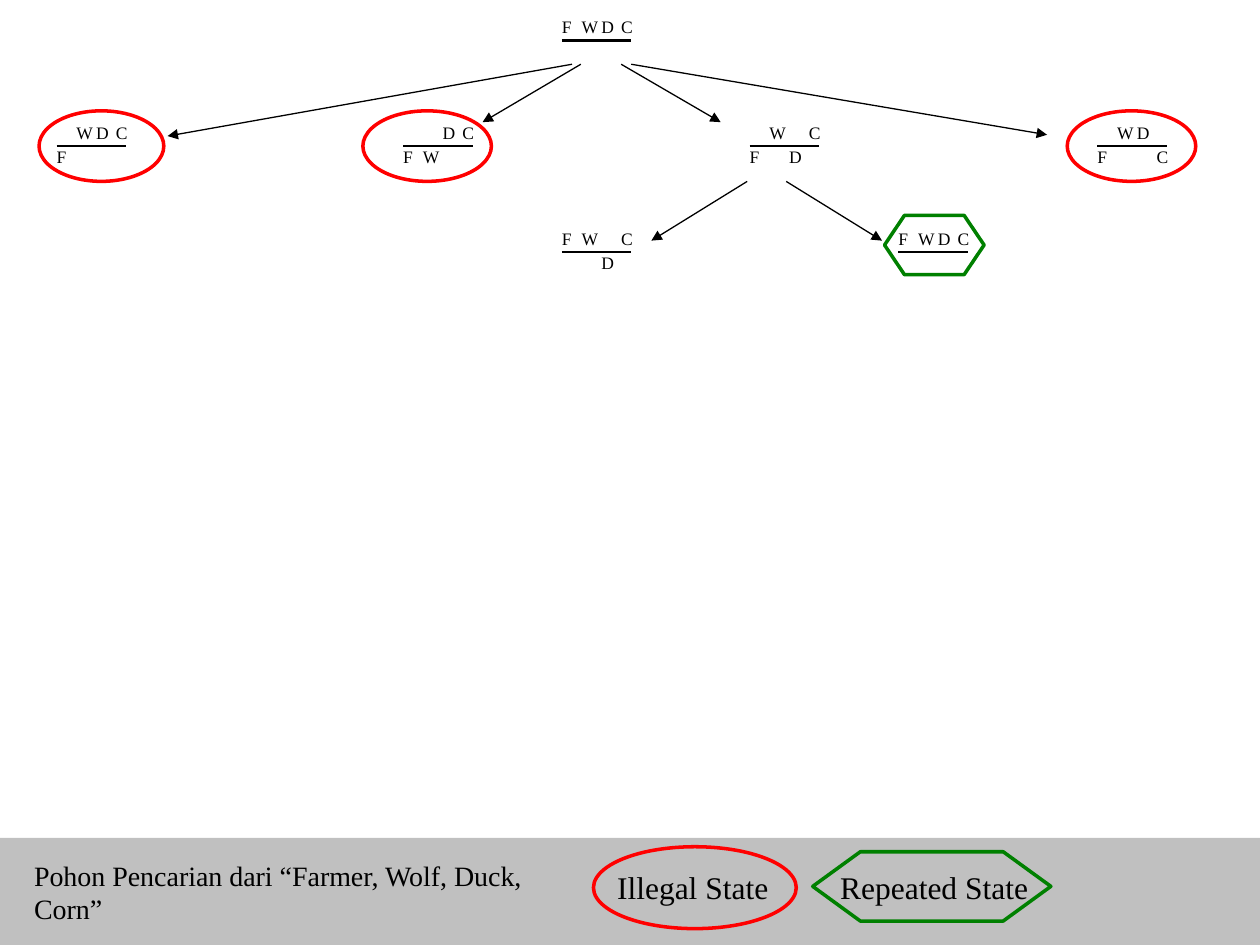
from lxml import etree
from pptx import Presentation
from pptx.dml.color import RGBColor
from pptx.enum.shapes import MSO_CONNECTOR, MSO_SHAPE
from pptx.enum.text import MSO_ANCHOR, MSO_AUTO_SIZE, PP_ALIGN
from pptx.oxml.ns import qn
from pptx.util import Inches, Pt

BLACK = RGBColor(0x00, 0x00, 0x00)
GRAY = RGBColor(0xC0, 0xC0, 0xC0)
RED = RGBColor(0xFF, 0x00, 0x00)
GREEN = RGBColor(0x00, 0x80, 0x00)
FONT = "Times New Roman"


def add_line(shapes, start_x, start_y, end_x, end_y, width, arrow=False):
    line = shapes.add_connector(MSO_CONNECTOR.STRAIGHT, Inches(start_x), Inches(start_y),
                                Inches(end_x), Inches(end_y))
    line.line.color.rgb = BLACK
    line.line.width = Pt(width)
    properties = line.element.spPr
    if arrow:
        etree.SubElement(properties.find(qn("a:ln")), qn("a:tailEnd"), type="triangle")
    etree.SubElement(properties, qn("a:effectLst"))


def set_text(shape, text, size, margin_x=0, margin_y=0, wrap=True):
    frame = shape.text_frame
    frame.text = text
    frame.word_wrap = wrap
    frame.auto_size = MSO_AUTO_SIZE.NONE
    frame.vertical_anchor = MSO_ANCHOR.TOP
    frame.margin_left = frame.margin_right = Inches(margin_x)
    frame.margin_top = frame.margin_bottom = Inches(margin_y)
    paragraph = frame.paragraphs[0]
    paragraph.alignment = PP_ALIGN.LEFT
    font = paragraph.runs[0].font
    font.name, font.size, font.color.rgb = FONT, Pt(size), BLACK


presentation = Presentation()
presentation.slide_width = Inches(10)
presentation.slide_height = Inches(7.5)
slide = presentation.slides.add_slide(presentation.slide_layouts[5])

# Footer band
band = slide.shapes.add_shape(MSO_SHAPE.RECTANGLE, 0, Inches(6.65), Inches(10), Inches(0.85))
band.shadow.inherit = False
band.fill.solid()
band.fill.fore_color.rgb = GRAY
band.line.fill.background()

# States: left edge, river height, who is on the far bank (above the river)
RIVER_WIDTH = 0.55
LETTER_STEP = 0.47 / 3
LETTER_RISE = 0.19
states = [
    (4.46, 0.32, "FWDC"),
    (0.45, 1.16, "WDC"),
    (3.2, 1.16, "DC"),
    (5.95, 1.16, "WC"),
    (8.71, 1.16, "WD"),
    (4.46, 2, "FWC"),
    (7.13, 2, "FWDC"),
]
for left, river, above in states:
    state = slide.shapes.add_group_shape()
    for column, letter in enumerate("FWDC"):
        top = river - LETTER_RISE if letter in above else river
        box = state.shapes.add_textbox(Inches(left + column * LETTER_STEP), Inches(top),
                                       Inches(0.16), Inches(0.17))
        set_text(box, letter, 10)
    add_line(state.shapes, left, river, left + RIVER_WIDTH, river, 1.5)

# Moves between states
moves = [
    (4.54, 0.51, 1.33, 1.08),
    (5.01, 0.51, 8.31, 1.07),
    (4.61, 0.51, 3.83, 0.97),
    (4.93, 0.51, 5.72, 0.97),
    (5.93, 1.44, 5.17, 1.91),
    (6.24, 1.44, 7, 1.91),
]
for move in moves:
    add_line(slide.shapes, *move, 0.75, arrow=True)

# Outlines of illegal and repeated states, with their legend samples
ILLEGAL = (MSO_SHAPE.OVAL, RED)
REPEATED = (MSO_SHAPE.FLOWCHART_PREPARATION, GREEN)
outlines = [
    (ILLEGAL, 0.31, 0.88, 0.99, 0.56),
    (ILLEGAL, 8.47, 0.88, 1.02, 0.56),
    (ILLEGAL, 2.88, 0.88, 1.02, 0.56),
    (REPEATED, 7.02, 1.71, 0.79, 0.47),
    (ILLEGAL, 4.71, 6.72, 1.61, 0.65),
    (REPEATED, 6.45, 6.76, 1.89, 0.55),
]
for (kind, color), *bounds in outlines:
    outline = slide.shapes.add_shape(kind, *map(Inches, bounds))
    outline.shadow.inherit = False
    outline.fill.background()
    outline.line.color.rgb = color
    outline.line.width = Pt(2)

# Legend labels
for text, left, width, wrap in [("Repeated State", 6.57, 1.72, True),
                                ("Illegal State", 4.8, 1.4, False)]:
    label = slide.shapes.add_textbox(Inches(left), Inches(6.84), Inches(width), Inches(0.4))
    set_text(label, text, 18, 0.1, 0.05, wrap)

# Title, brought in front of the band
title = slide.shapes.title
title.left, title.top = Inches(0.17), Inches(6.76)
title.width, title.height = Inches(4.33), Inches(0.64)
set_text(title, "Pohon Pencarian dari “Farmer, Wolf, Duck, Corn”", 16, 0.1, 0.05)
slide.shapes.element.append(title.element)

presentation.save("out.pptx")
